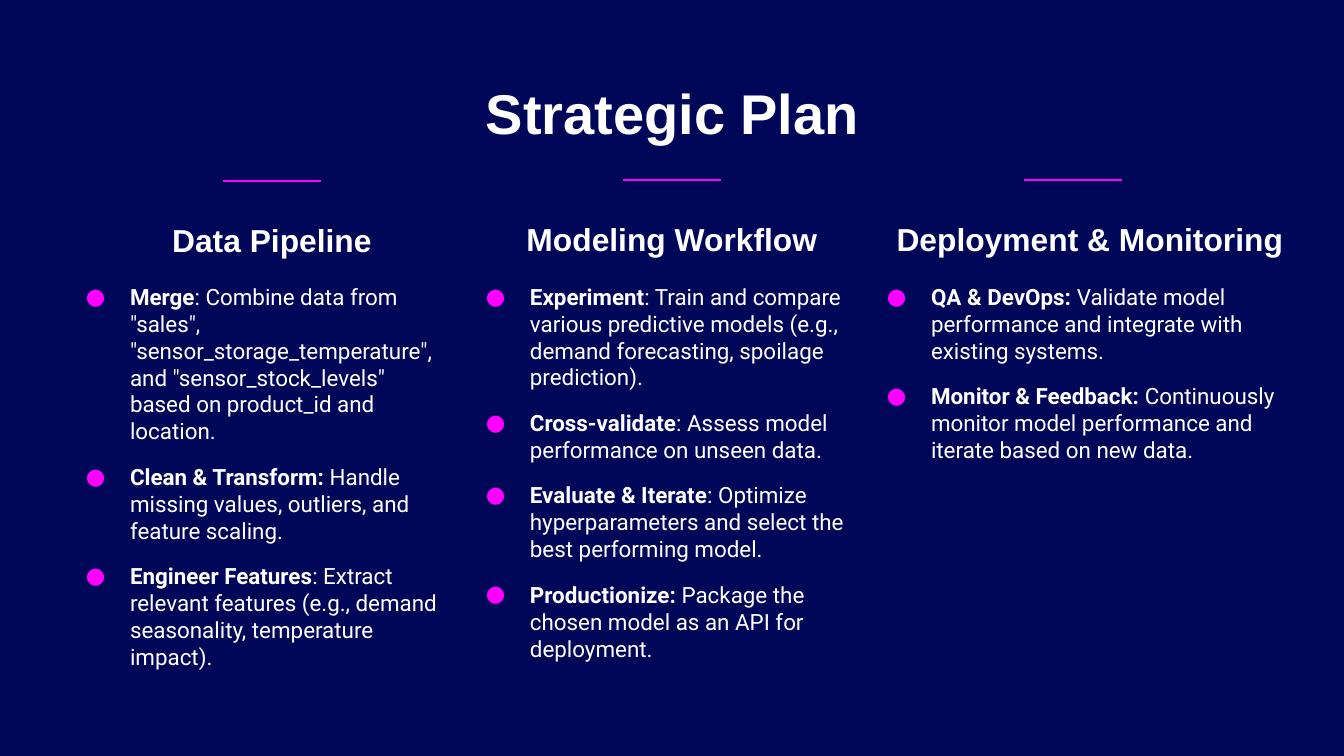
from dataclasses import dataclass

import pptx
import pptx.dml.color
import pptx.enum.shapes
import pptx.enum.text
import pptx.oxml
import pptx.oxml.ns
import pptx.util
from lxml import etree

ALIGN = pptx.enum.text.PP_ALIGN
ANCHOR = pptx.enum.text.MSO_ANCHOR

TITLE = "Strategic Plan"
COLUMNS = [
    dict(
        heading="Data Pipeline", heading_width=444, drop=1, body_size=(410, 339),
        steps=[
            ("Merge", ': Combine data from "sales", "sensor_storage_temperature", '
                      'and "sensor_stock_levels" based on product_id and location.'),
            ("Clean & Transform:", " Handle missing values, outliers, and feature scaling."),
            ("Engineer Features", ": Extract relevant features (e.g., demand seasonality, "
                                  "temperature impact)."),
        ],
    ),
    dict(
        heading="Modeling Workflow", heading_width=444, drop=0, body_size=(423, 394),
        steps=[
            ("Experiment", ": Train and compare various predictive models (e.g., demand "
                           "forecasting, spoilage prediction)."),
            ("Cross-validate", ": Assess model performance on unseen data."),
            ("Evaluate & Iterate", ": Optimize hyperparameters and select the best "
                                   "performing model."),
            ("Productionize:", " Package the chosen model as an API for deployment."),
        ],
    ),
    dict(
        heading="Deployment & Monitoring", heading_width=478, drop=0, body_size=(444, 253),
        steps=[
            ("QA & DevOps:", " Validate model performance and integrate with existing systems."),
            ("Monitor & Feedback: ", "Continuously monitor model performance and iterate "
                                     "based on new data."),
        ],
    ),
]


@dataclass(frozen=True)
class Theme:
    background: str = "000658"
    text: str = "FFFFFF"
    accent: str = "FF00FF"
    heading_font: str = "Arial"
    body_font: str = "Roboto"
    title_size: int = 30
    heading_size: int = 17
    body_size: int = 12
    step_gap: int = 10
    rule_width: float = 1.5


THEME = Theme()
SLIDE_SIZE = (1344, 756)
EMU_PER_PX = 914400 / 134.4
INSET = 13
TITLE_BOX = (106, 66, 1133, 85)
FIRST_LEFT, COLUMN_PITCH = 50, 400.5
RULE_INDENT, RULE_LENGTH, RULE_TOP = 173, 98, 180
HEADING_TOP, HEADING_HEIGHT = 194, 77
BODY_TOP = 270
BULLET_INDENT, BULLET_HANG = 67, 44


def px(length):
    return pptx.util.Emu(round(length * EMU_PER_PX))


def rgb(value):
    return pptx.dml.color.RGBColor.from_string(value)


def add_bullet(paragraph):
    properties = paragraph._p.get_or_add_pPr()
    properties.set("marL", str(px(BULLET_INDENT)))
    properties.set("indent", str(-px(BULLET_HANG)))
    qn = pptx.oxml.ns.qn
    color = etree.SubElement(properties, qn("a:buClr"))
    etree.SubElement(color, qn("a:srgbClr")).set("val", THEME.accent)
    etree.SubElement(properties, qn("a:buFont")).set("typeface", THEME.body_font)
    etree.SubElement(properties, qn("a:buChar")).set("char", "●")


def put_text(shape, paragraphs, *, box, font, size, align=ALIGN.LEFT,
             anchor=ANCHOR.TOP, bullets=False, gap=0):
    """Place shape at box and fill it; each paragraph is a (bold, regular) pair."""
    shape.left, shape.top, shape.width, shape.height = map(px, box)
    frame = shape.text_frame
    frame.word_wrap = True
    frame.auto_size = pptx.enum.text.MSO_AUTO_SIZE.NONE
    frame.vertical_anchor = anchor
    frame.margin_left = frame.margin_right = px(INSET)
    frame.margin_top = frame.margin_bottom = px(INSET)
    for index, parts in enumerate(paragraphs):
        paragraph = frame.add_paragraph() if index else frame.paragraphs[0]
        paragraph.alignment = align
        paragraph.space_before = pptx.util.Pt(gap if index else 0)
        if bullets:
            add_bullet(paragraph)
        for text, bold in zip(parts, (True, False)):
            if text:
                run = paragraph.add_run()
                run.text = text
                run.font.name = font
                run.font.size = pptx.util.Pt(size)
                run.font.bold = bold
                run.font.color.rgb = rgb(THEME.text)


def add_rule(slide, left, top):
    rule = slide.shapes.add_connector(
        pptx.enum.shapes.MSO_CONNECTOR.STRAIGHT,
        px(left), px(top), px(left + RULE_LENGTH), px(top))
    rule.line.color.rgb = rgb(THEME.accent)
    rule.line.width = pptx.util.Pt(THEME.rule_width)
    etree.SubElement(rule._element.spPr, pptx.oxml.ns.qn("a:effectLst"))


def add_column(slide, left, column):
    def text_box():
        return slide.shapes.add_textbox(0, 0, 0, 0)

    drop = column["drop"]
    add_rule(slide, left + RULE_INDENT, RULE_TOP + drop)
    put_text(text_box(), [(column["heading"], "")],
             box=(left, HEADING_TOP + drop, column["heading_width"], HEADING_HEIGHT),
             font=THEME.heading_font, size=THEME.heading_size,
             align=ALIGN.CENTER, anchor=ANCHOR.BOTTOM)
    put_text(text_box(), column["steps"], box=(left, BODY_TOP, *column["body_size"]),
             font=THEME.body_font, size=THEME.body_size,
             bullets=True, gap=THEME.step_gap)


def main():
    deck = pptx.Presentation()
    deck.slide_width, deck.slide_height = map(px, SLIDE_SIZE)
    slide = deck.slides.add_slide(deck.slide_layouts[5])
    slide.background.fill.solid()
    slide.background.fill.fore_color.rgb = rgb(THEME.background)

    put_text(slide.shapes.title, [(TITLE, "")], box=TITLE_BOX,
             font=THEME.heading_font, size=THEME.title_size, align=ALIGN.CENTER)
    for index, column in enumerate(COLUMNS):
        add_column(slide, round(FIRST_LEFT + index * COLUMN_PITCH), column)

    deck.save("out.pptx")


if __name__ == "__main__":
    main()
